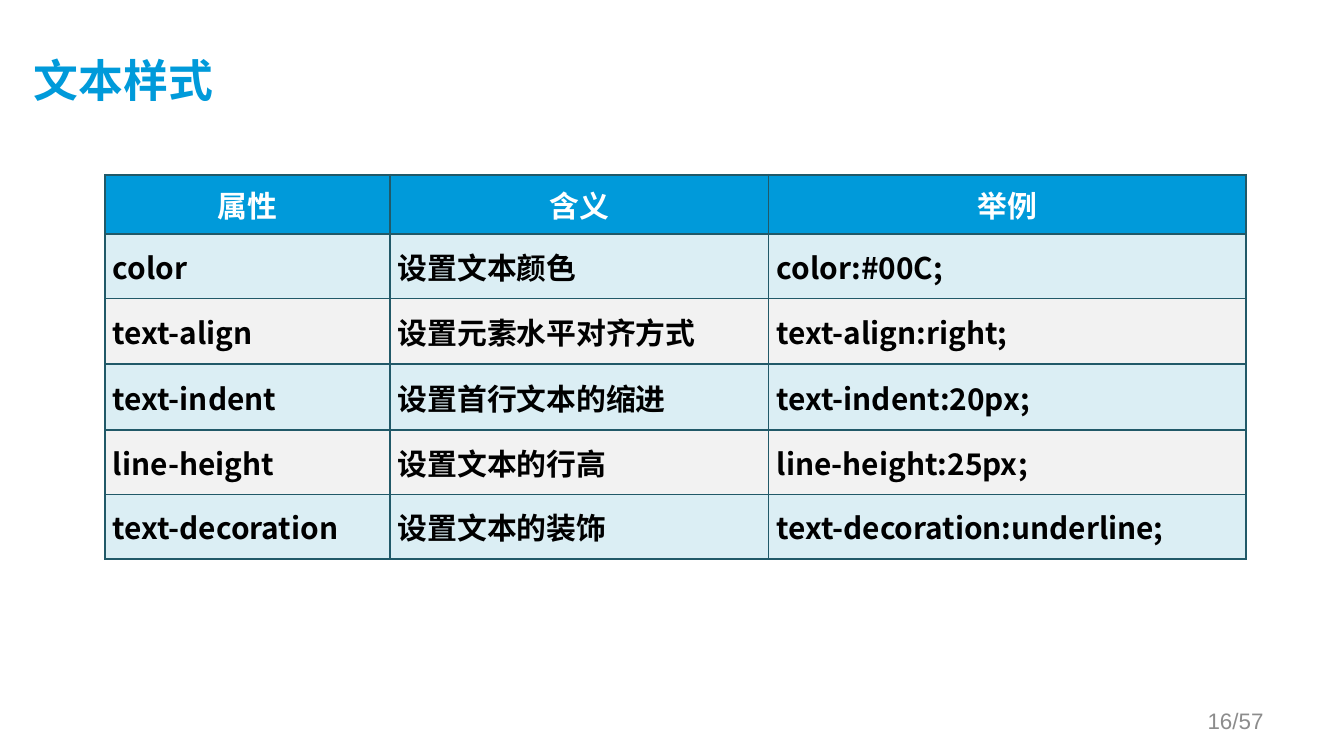
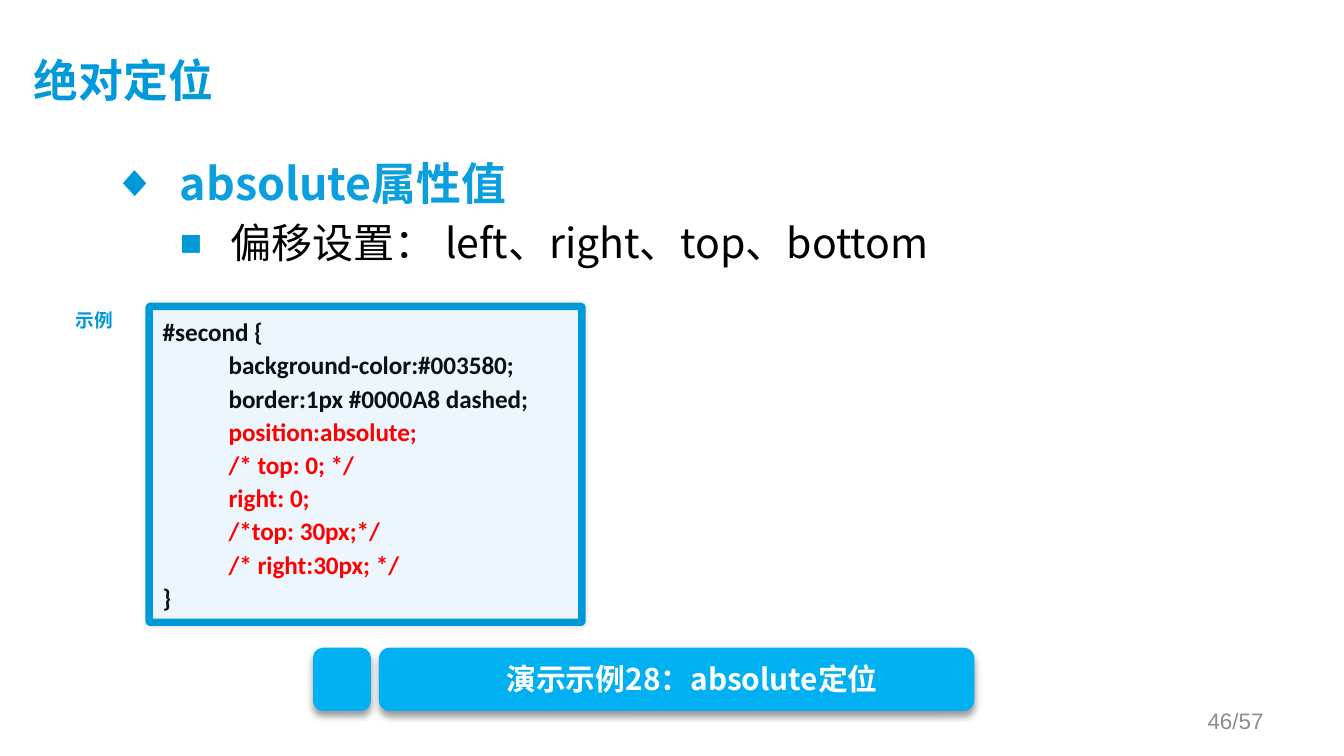
"""Build two slides on CSS text styles and absolute positioning."""
from lxml.etree import SubElement
from pptx import Presentation
from pptx.dml.color import RGBColor
from pptx.enum.shapes import MSO_SHAPE as Shape
from pptx.enum.text import MSO_ANCHOR as Anchor, PP_ALIGN as Align
from pptx.oxml.ns import qn
from pptx.util import Inches, Pt

CJK, ARIAL, CALIBRI = "Noto Sans CJK SC", "Arial", "Calibri"
BLUE, ACCENT, SKY, HEADING = "009ADA", "0099D8", "00B0F0", "0B9FDD"
WHITE, BLACK, GREY, RED, INK = "FFFFFF", "000000", "8C8C8C", "FF0000", "071215"
PALE_BLUE, PALE_GREY, CODE_FILL, BORDER = "DBEEF4", "F2F2F2", "EDF5FD", "215968"
rgb = RGBColor.from_string


def write(para, text, size=16, font=CJK, color=BLACK, bold=True, align=Align.LEFT, before=0):
    """Add a formatted span to a paragraph."""
    para.alignment = align
    para.space_before = Pt(before)
    span = para.add_run()
    span.text = text
    span.font.size = Pt(size)
    span.font.bold = bold
    span.font.color.rgb = rgb(color)
    span.font.name = font
    east_asian = CJK if font == ARIAL else font
    SubElement(span.font._element, qn("a:ea"), typeface=east_asian)


def add_rounded(shapes, left, top, width, height, fill, opacity, blur, distance):
    """Add a rounded rectangle with a soft shadow."""
    box = shapes.add_shape(Shape.ROUNDED_RECTANGLE, Inches(left), Inches(top),
                           Inches(width), Inches(height))
    box.fill.solid()
    box.fill.fore_color.rgb = rgb(fill)
    box.line.fill.background()
    box.shadow.inherit = False
    effects = box._element.spPr.find(qn("a:effectLst"))
    shadow = SubElement(effects, qn("a:outerShdw"), blurRad=str(Pt(blur)),
                        dist=str(Pt(distance)), dir="5400000", rotWithShape="0")
    tint = SubElement(shadow, qn("a:srgbClr"), val=BLACK)
    SubElement(tint, qn("a:alpha"), val=str(opacity * 1000))
    return box


deck = Presentation()
deck.slide_width = Inches(10)
deck.slide_height = deck.slide_width * 9 // 16

pages = []
for heading, number in [("文本样式", "16/57"), ("绝对定位", "46/57")]:
    page = deck.slides.add_slide(deck.slide_layouts[5])
    title = page.shapes.title
    title.left, title.top = Inches(0.25), Inches(0.23)
    title.width, title.height = Inches(9.01), Inches(0.77)
    frame = title.text_frame
    frame.vertical_anchor = Anchor.MIDDLE
    frame.margin_left = frame.margin_top = 0
    write(frame.paragraphs[0], heading, size=24, color=BLUE)
    footer = page.shapes.add_textbox(Inches(7.17), Inches(5.21), Inches(2.33), Inches(0.3))
    footer.text_frame.word_wrap = True
    footer.text_frame.vertical_anchor = Anchor.MIDDLE
    write(footer.text_frame.paragraphs[0], number, size=12, font=ARIAL, color=GREY,
          bold=False, align=Align.RIGHT)
    pages.append(page)
style_page, position_page = pages

properties = [
    ("属性", "含义", "举例"),
    ("color", "设置文本颜色", "color:#00C;"),
    ("text-align", "设置元素水平对齐方式", "text-align:right;"),
    ("text-indent", "设置首行文本的缩进", "text-indent:20px;"),
    ("line-height", "设置文本的行高", "line-height:25px;"),
    ("text-decoration", "设置文本的装饰", "text-decoration:underline;"),
]
table = style_page.shapes.add_table(len(properties), 3, Inches(0.78), Inches(1.3),
                                    Inches(8.49), Inches(2.85)).table
table.horz_banding = False
for column, width in zip(table.columns, (2.12, 2.82, 3.55)):
    column.width = Inches(width)
for row, height in zip(table.rows, (0.44, 0.48, 0.49, 0.49, 0.48, 0.48)):
    row.height = Inches(height)
for row_index, texts in enumerate(properties):
    for column_index, text in enumerate(texts):
        cell = table.cell(row_index, column_index)
        cell.vertical_anchor = Anchor.MIDDLE
        para = cell.text_frame.paragraphs[0]
        if row_index == 0:
            fill = BLUE
            write(para, text, font=ARIAL, color=WHITE, align=Align.CENTER, before=3.2)
        else:
            fill = PALE_BLUE if row_index % 2 else PALE_GREY
            cell.margin_left = cell.margin_right = Inches(0.06)
            cell.margin_top = cell.margin_bottom = 0
            write(para, text, before=3.2)
        cell_format = cell._tc.get_or_add_tcPr()
        for side in ("a:lnL", "a:lnR", "a:lnT", "a:lnB"):
            edge = SubElement(cell_format, qn(side), w=str(Pt(1)))
            SubElement(SubElement(edge, qn("a:solidFill")), qn("a:srgbClr"), val=BORDER)
        cell.fill.solid()
        cell.fill.fore_color.rgb = rgb(fill)

body = position_page.shapes.add_textbox(Inches(0.74), Inches(1.11), Inches(8.49), Inches(3.71))
frame = body.text_frame
frame.word_wrap = True
points = [
    ("absolute属性值", 24, HEADING, True, "◆", 100, 0.5, 0.5),
    ("偏移设置： left、right、top、bottom", 22, BLACK, False, "■", 90, 0.88, 0.38),
]
for level, (text, size, color, bold, bullet, scale, indent, hang) in enumerate(points):
    para = frame.add_paragraph() if level else frame.paragraphs[0]
    para.level = level
    write(para, text, size=size, color=color, bold=bold, before=size * 0.2)
    para_format = para._p.get_or_add_pPr()
    para_format.set("marL", str(Inches(indent)))
    para_format.set("indent", str(-Inches(hang)))
    SubElement(SubElement(para_format, qn("a:buClr")), qn("a:srgbClr"), val=ACCENT)
    SubElement(para_format, qn("a:buSzPct"), val=str(scale * 1000))
    SubElement(para_format, qn("a:buFont"), typeface=ARIAL)
    SubElement(para_format, qn("a:buChar"), char=bullet)

code_box = add_rounded(position_page.shapes, 1.11, 2.28, 3.22, 2.35, CODE_FILL, 10, 3, 0)
code_box.adjustments[0] = 0.004
code_box.line.color.rgb = rgb(ACCENT)
code_box.line.width = Pt(4)
frame = code_box.text_frame
frame.word_wrap = True
frame.vertical_anchor = Anchor.TOP
code_lines = [
    ("#second {", INK),
    ("\tbackground-color:#003580;", INK),
    ("\tborder:1px #0000A8 dashed;", INK),
    ("\tposition:absolute;", RED),
    ("\t/* top: 0; */", RED),
    ("\tright: 0;", RED),
    ("\t/*top: 30px;*/", RED),
    ("\t/* right:30px; */", RED),
    ("}", INK),
]
for index, (text, color) in enumerate(code_lines):
    para = frame.add_paragraph() if index else frame.paragraphs[0]
    para.line_spacing = 1.1
    write(para, text, size=13.5, font=CALIBRI, color=color)
    tabs = SubElement(para._p.get_or_add_pPr(), qn("a:tabLst"))
    SubElement(tabs, qn("a:tab"), pos=str(Inches(0.49)), algn="l")

label = position_page.shapes.add_textbox(Inches(0.46), Inches(2.25), Inches(0.48), Inches(0.27))
label.text_frame.word_wrap = False
write(label.text_frame.paragraphs[0], "示例", size=10, font=ARIAL, color=ACCENT,
      align=Align.CENTER)

banner = position_page.shapes.add_group_shape()
for left, width in [(2.33, 0.43), (2.82, 4.43)]:
    add_rounded(banner.shapes, left, 4.82, width, 0.47, SKY, 40, 4, 3)
caption = banner.shapes.add_textbox(Inches(3.05), Inches(4.87), Inches(4.2), Inches(0.37))
caption.text_frame.word_wrap = True
write(caption.text_frame.paragraphs[0], "演示示例28：absolute定位", color=WHITE,
      align=Align.CENTER)

deck.save("out.pptx")
